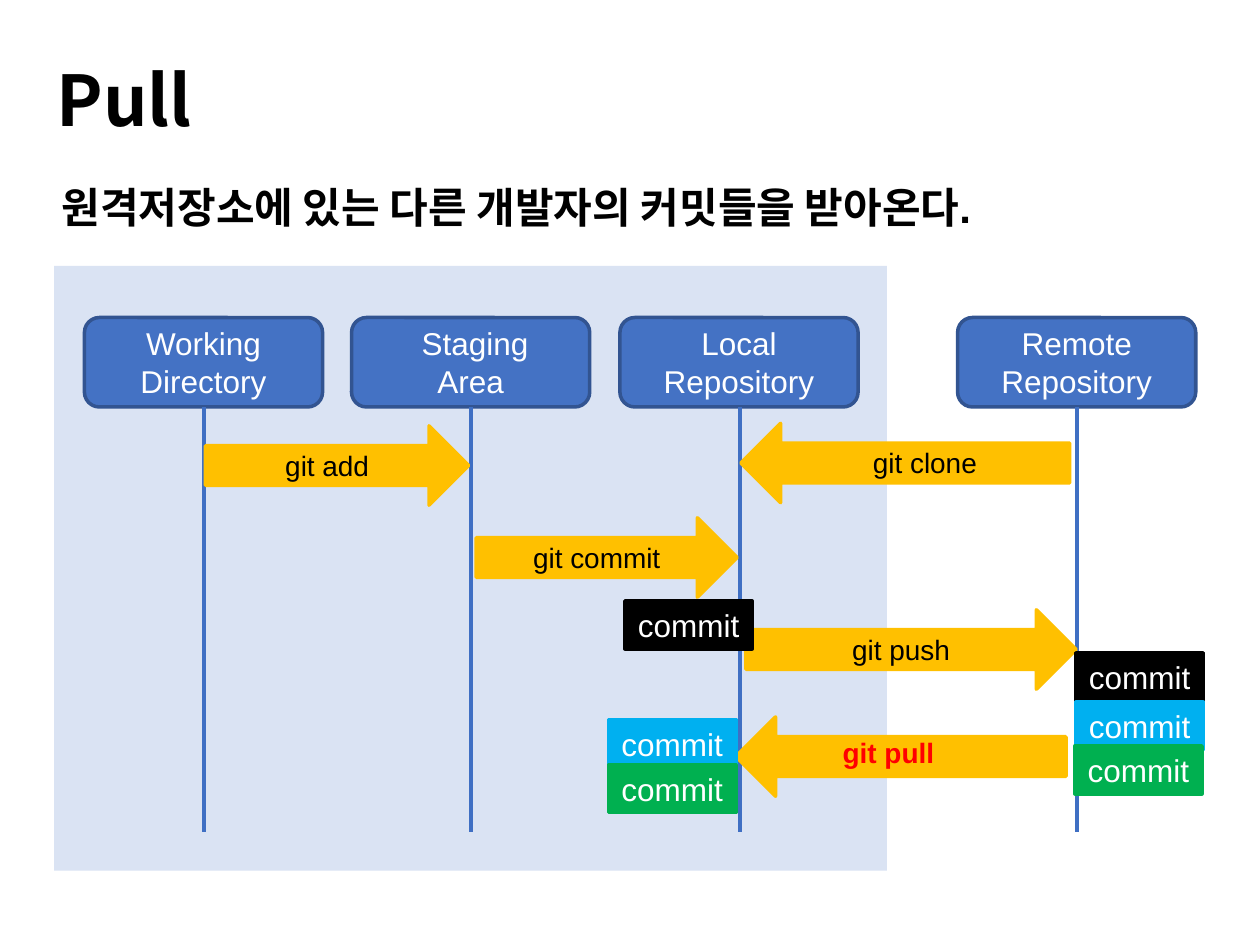
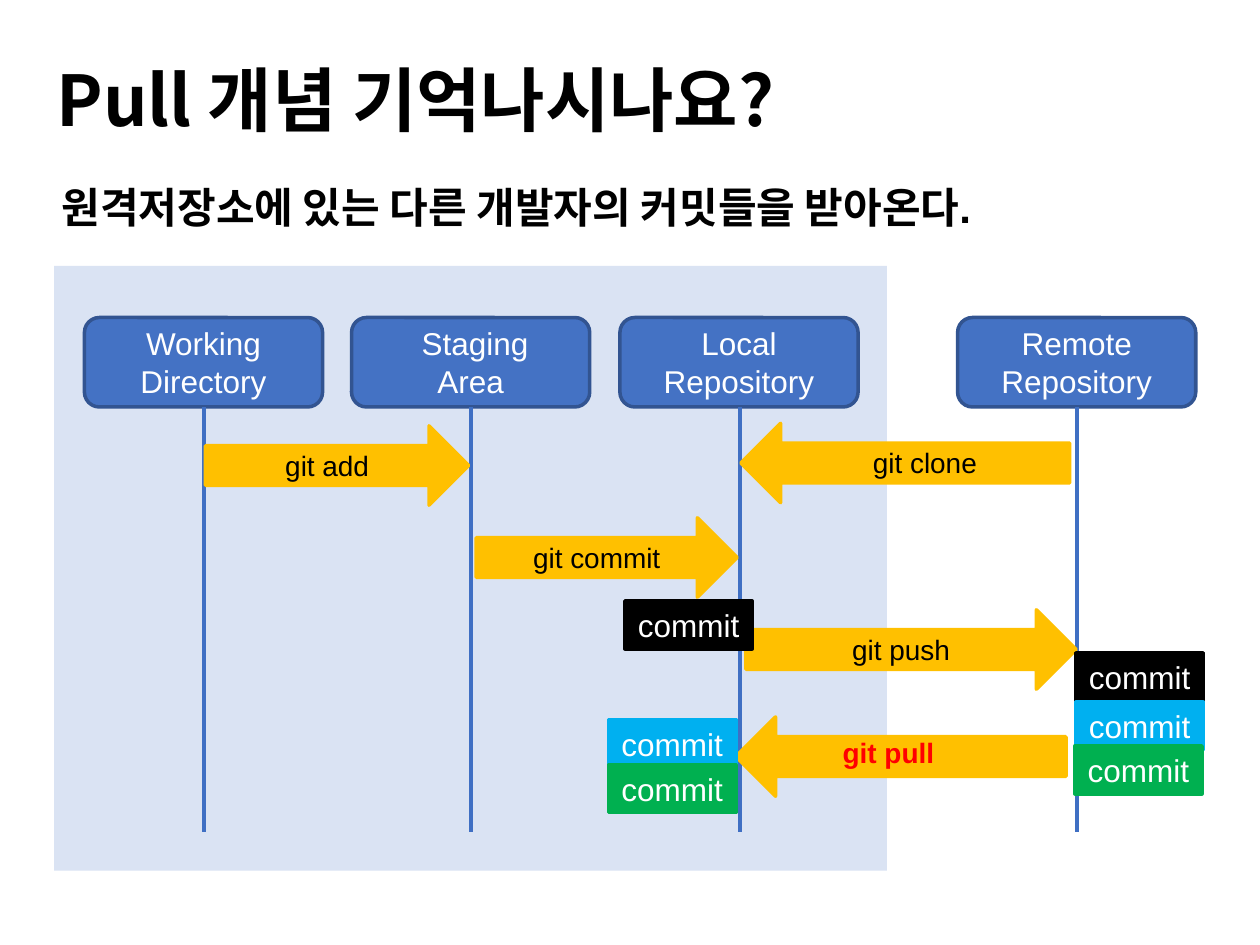
from lxml import etree
from pptx import Presentation
from pptx.dml.color import RGBColor
from pptx.enum.shapes import MSO_CONNECTOR, MSO_SHAPE
from pptx.enum.text import MSO_ANCHOR, MSO_AUTO_SIZE, PP_ALIGN
from pptx.oxml.ns import qn
from pptx.util import Emu, Pt

RECT = MSO_SHAPE.RECTANGLE
ROUNDED = MSO_SHAPE.ROUNDED_RECTANGLE
ARROW_RIGHT = MSO_SHAPE.RIGHT_ARROW
ARROW_LEFT = MSO_SHAPE.LEFT_ARROW
LINE = MSO_CONNECTOR.STRAIGHT
LEFT, CENTER = PP_ALIGN.LEFT, PP_ALIGN.CENTER
TOP, MIDDLE = MSO_ANCHOR.TOP, MSO_ANCHOR.MIDDLE
NO_FIT = MSO_AUTO_SIZE.NONE

WHITE = RGBColor(0xFF, 0xFF, 0xFF)
BLACK = RGBColor(0x00, 0x00, 0x00)
RED = RGBColor(0xFF, 0x00, 0x00)
PANEL = RGBColor(0xDA, 0xE3, 0xF3)
BLUE = RGBColor(0x44, 0x72, 0xC4)
BLUE_EDGE = RGBColor(0x32, 0x54, 0x91)
LANE = RGBColor(0x3F, 0x6F, 0xC3)
AMBER = RGBColor(0xFF, 0xC0, 0x00)
SKY = RGBColor(0x00, 0xB0, 0xF0)
GREEN = RGBColor(0x00, 0xB0, 0x50)

LATIN_FONT = "Arial"
KOREAN_FONT = "Noto Sans CJK KR"
PX = 9144  # 100 px to the inch

SUBTITLE = "원격저장소에 있는 다른 개발자의 커밋들을 받아온다."
TITLES = ["Pull", "Pull 개념 기억나시나요?"]

STAGE_WIDTH, STAGE_HEIGHT, STAGE_TOP = 189, 71, 252
LANE_BOTTOM = 660
STAGES = [  # left edge, lines of the label
    (67, ["Working", "Directory"]),
    (279, [" Staging", "Area"]),
    (492, ["Local", "Repository"]),
    (760, ["Remote", "Repository"]),
]
ARROW_HEIGHT = 63
ARROWS = [  # shape, left, top, width, label inside
    (ARROW_RIGHT, 163, 338, 209, "git add"),
    (ARROW_RIGHT, 378, 411, 207, "git commit"),
    (ARROW_RIGHT, 592, 484, 262, "git push"),
    (ARROW_LEFT, 588, 336, 261, ""),
    (ARROW_LEFT, 584, 569, 262, ""),
]
COMMITS = [  # left, top, colour
    (854, 518, BLACK), (854, 557, SKY), (853, 592, GREEN),
    (496, 477, BLACK),
    (483, 571, SKY), (483, 607, GREEN),
]


def px(*lengths):
    return [Emu(length * PX) for length in lengths]


def write(frame, lines, size, color, font=LATIN_FONT, bold=False,
          align=LEFT, anchor=TOP, wrap=False):
    """Fill a text frame with one paragraph for each line."""
    frame.word_wrap = wrap
    frame.auto_size = NO_FIT
    frame.vertical_anchor = anchor
    for index, line in enumerate(lines):
        para = frame.add_paragraph() if index else frame.paragraphs[0]
        para.alignment = align
        span = para.add_run()
        span.text = line
        span.font.size = Pt(size)
        span.font.bold = bold
        span.font.color.rgb = color
        span.font.name = font
        properties = span.font._element
        etree.SubElement(properties, qn("a:ea"), typeface=KOREAN_FONT)


def add_title(page, text):
    title = page.shapes.title
    title.left, title.top, title.width, title.height = px(35, 13, 954, 131)
    write(title.text_frame, [text], 40, BLACK, KOREAN_FONT, bold=True,
          anchor=MIDDLE, wrap=True)


def add_label(page, bounds, text, size, color, bold=False):
    box = page.shapes.add_textbox(*px(*bounds))
    write(box.text_frame, [text], size, color, bold=bold)


def add_block(page, kind, bounds, fill, edge=None, lines=(), size=18,
              color=WHITE):
    """Add a filled shape, outlined only when an edge colour is given."""
    block = page.shapes.add_shape(kind, *px(*bounds))
    block.shadow.inherit = False
    block.fill.solid()
    block.fill.fore_color.rgb = fill
    if edge is None:
        block.line.fill.background()
    else:
        block.line.color.rgb = edge
        block.line.width = Pt(2)
    if lines:
        write(block.text_frame, lines, size, color, align=CENTER,
              anchor=MIDDLE)


def add_lane(page, x):
    lane = page.shapes.add_connector(
        LINE, *px(x, STAGE_TOP + STAGE_HEIGHT, x, LANE_BOTTOM))
    lane.line.color.rgb = LANE
    lane.line.width = Pt(2.25)
    etree.SubElement(lane._element.spPr, qn("a:effectLst"))


def add_workflow(page):
    add_block(page, RECT, (43, 211, 661, 480), PANEL)
    for left, lines in STAGES:
        add_block(page, ROUNDED,
                  (left, STAGE_TOP, STAGE_WIDTH, STAGE_HEIGHT),
                  BLUE, BLUE_EDGE, lines)
        add_lane(page, left + STAGE_WIDTH // 2 + 1)
    for kind, left, top, width, label in ARROWS:
        add_block(page, kind, (left, top, width, ARROW_HEIGHT), AMBER, AMBER,
                  [label] if label else [], 16, BLACK)
    add_label(page, (683, 349, 114, 37), "git clone", 16, BLACK)
    add_label(page, (659, 579, 97, 37), "git pull", 16, RED, bold=True)
    for left, top, color in COMMITS:
        add_block(page, RECT, (left, top, 101, 38), color, color, ["commit"])


def main():
    deck = Presentation()
    deck.slide_width, deck.slide_height = px(1000, 750)
    title_only = deck.slide_layouts[5]
    for title in TITLES:
        page = deck.slides.add_slide(title_only)
        add_title(page, title)
        add_label(page, (39, 139, 838, 50), SUBTITLE, 24, BLACK, bold=True)
        add_workflow(page)
    deck.save("out.pptx")


if __name__ == "__main__":
    main()
